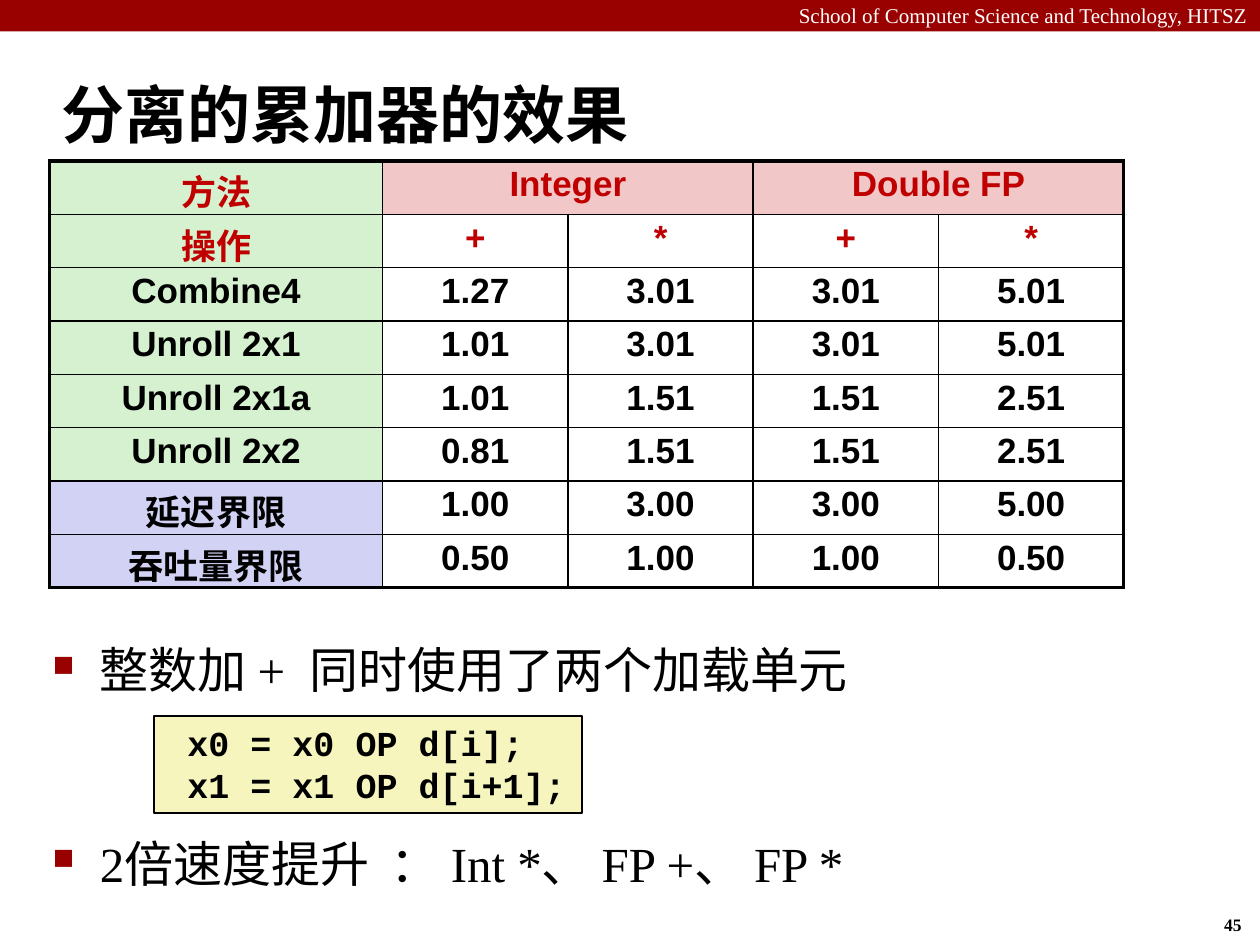
from lxml import etree
from pptx import Presentation
from pptx import util as u
from pptx.dml.color import RGBColor
from pptx.enum import shapes, text
from pptx.oxml import ns

Pt = u.Pt
BLACK = RGBColor(0x00, 0x00, 0x00)
WHITE = RGBColor(0xFF, 0xFF, 0xFF)
CRIMSON = RGBColor(0x99, 0x00, 0x00)
RED = RGBColor(0xC0, 0x00, 0x00)
GREEN = RGBColor(0xD5, 0xF1, 0xCF)
PINK = RGBColor(0xF1, 0xC7, 0xC7)
LILAC = RGBColor(0xD2, 0xD2, 0xF4)
CREAM = RGBColor(0xF6, 0xF5, 0xBD)
THIN, THICK = 1, 2.25

ROWS = [
    ["方法", "Integer", "", "Double FP", ""],
    ["操作", "+", "*", "+", "*"],
    ["Combine4", "1.27", "3.01", "3.01", "5.01"],
    ["Unroll 2x1", "1.01", "3.01", "3.01", "5.01"],
    ["Unroll 2x1a", "1.01", "1.51", "1.51", "2.51"],
    ["Unroll 2x2", "0.81", "1.51", "1.51", "2.51"],
    ["延迟界限", "1.00", "3.00", "3.00", "5.00"],
    ["吞吐量界限", "0.50", "1.00", "1.00", "0.50"],
]


def put(obj, **values):
    """Set each named attribute on an object."""
    for name, value in values.items():
        setattr(obj, name, value)


def style(p, name, size, color=BLACK, bold=False):
    """Format all runs of a paragraph."""
    for r in p.runs:
        put(r.font, name=name, size=Pt(size), bold=bold)
        r.font.color.rgb = color


def child(parent, tag, **attrs):
    """Append a drawing element with attributes."""
    return etree.SubElement(parent, ns.qn(tag), attrs)


def add_text(s, box, lines, font, align=text.PP_ALIGN.LEFT, **frame):
    """Add a text box and return its paragraphs."""
    tf = s.shapes.add_textbox(*map(Pt, box)).text_frame
    put(tf, **{"word_wrap": True, **frame})
    tf.text = "\n".join(lines)
    for p in tf.paragraphs:
        p.alignment = align
        style(p, **font)
    return tf.paragraphs


def add_rect(s, box, fill):
    """Add a flat filled rectangle without outline."""
    sp = s.shapes.add_shape(shapes.MSO_SHAPE.RECTANGLE, *map(Pt, box))
    sp.shadow.inherit = False
    sp.fill.solid()
    sp.fill.fore_color.rgb = fill
    sp.line.fill.background()
    return sp


def add_bullets(s, box, lines, gap):
    """Add square-bulleted lines separated by a gap."""
    paragraphs = add_text(s, box, lines, dict(name="Times New Roman", size=28))
    for i, p in enumerate(paragraphs):
        pPr = p._p.get_or_add_pPr()
        pPr.set("marL", str(Pt(27)))
        pPr.set("indent", str(Pt(-27)))
        child(child(pPr, "a:buClr"), "a:srgbClr", val=str(CRIMSON))
        child(pPr, "a:buSzPct", val="60000")
        child(pPr, "a:buChar", char="■")
        if i:
            p.space_before = Pt(gap)


def add_code(s, box, lines):
    """Add an outlined box of code."""
    sp = add_rect(s, box, CREAM)
    sp.line.color.rgb = BLACK
    sp.line.width = Pt(1)
    tf = sp.text_frame
    put(tf, word_wrap=False, vertical_anchor=text.MSO_ANCHOR.TOP)
    tf.text = "\n".join(lines)
    for p in tf.paragraphs:
        p.alignment = text.PP_ALIGN.LEFT
        style(p, "Courier New", 20, bold=True)


def set_borders(cell, **widths):
    """Draw the cell edges L, R, T and B in black."""
    tcPr = cell._tc.get_or_add_tcPr()
    for side, width in widths.items():
        ln = child(tcPr, f"a:ln{side}", w=str(Pt(width)))
        child(child(ln, "a:solidFill"), "a:srgbClr", val=str(BLACK))


def cell_fill(row, col):
    """Return the fill of a table cell, or None."""
    if col == 0:
        return GREEN if row < 6 else LILAC
    return PINK if row == 0 else None


def add_results(s, left, top, widths, height):
    """Add the table of measured cycles per element."""
    n, m = len(ROWS), len(widths)
    frame = s.shapes.add_table(n, m, Pt(left), Pt(top), Pt(sum(widths)), Pt(n * height))
    table = frame.table
    put(table, first_row=False, horz_banding=False)
    for column, width in zip(table.columns, widths):
        column.width = Pt(width)
    for row in table.rows:
        row.height = Pt(height)
    for col in (1, 3):
        table.cell(0, col).merge(table.cell(0, col + 1))
    for i, values in enumerate(ROWS):
        for j, value in enumerate(values):
            cell = table.cell(i, j)
            if cell.is_spanned:
                continue
            last = j + cell.span_width == m
            set_borders(cell, L=THIN if j else THICK, R=THICK if last else THIN,
                        T=THIN if i else THICK, B=THICK if i == n - 1 else THIN)
            fill = cell_fill(i, j)
            if fill is None:
                cell.fill.background()
            else:
                cell.fill.solid()
                cell.fill.fore_color.rgb = fill
            for side in ("left", "right", "top", "bottom"):
                setattr(cell, f"margin_{side}", Pt(3.6))
            cell.text = value
            p = cell.text_frame.paragraphs[0]
            put(p, alignment=text.PP_ALIGN.CENTER, line_spacing=0.95)
            style(p, "Arial", 20, RED if i < 2 else BLACK, True)


def main():
    """Build the slide and save it."""
    prs = Presentation()
    put(prs, slide_width=Pt(720), slide_height=Pt(540))
    s = prs.slides.add_slide(prs.slide_layouts[6])
    add_rect(s, (0, 0, 720, 18), CRIMSON)
    add_text(s, (0, -2, 720, 21.6), ["School of Computer Science and Technology, HITSZ"],
             dict(name="Times New Roman", size=12, color=WHITE), text.PP_ALIGN.RIGHT)
    add_text(s, (692.5, 519, 26.6, 19.4), ["45"],
             dict(name="Times New Roman", size=10, bold=True), word_wrap=False)
    add_text(s, (28, 34.5, 692, 60), ["分离的累加器的效果"],
             dict(name="Calibri", size=36, bold=True),
             vertical_anchor=text.MSO_ANCHOR.MIDDLE)
    add_bullets(s, (23, 362, 654.5, 165.5),
                ["整数加 +  同时使用了两个加载单元", "2倍速度提升  ： Int *、 FP +、 FP *"], 77)
    add_code(s, (88, 409, 244.8, 55.5), [" x0 = x0 OP d[i];", " x1 = x1 OP d[i+1];"])
    add_results(s, 28.3, 92, [190.4] + [105.9] * 4, 30.5)
    prs.save("out.pptx")


if __name__ == "__main__":
    main()
